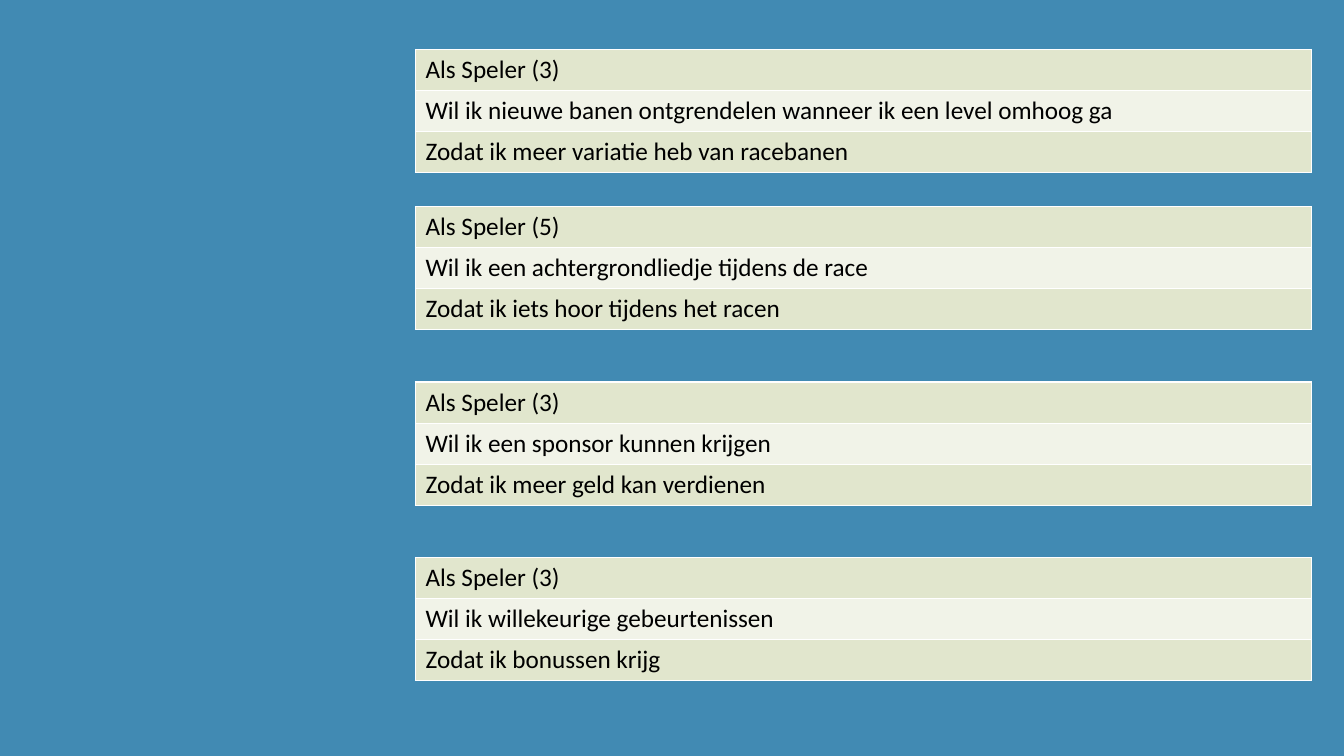
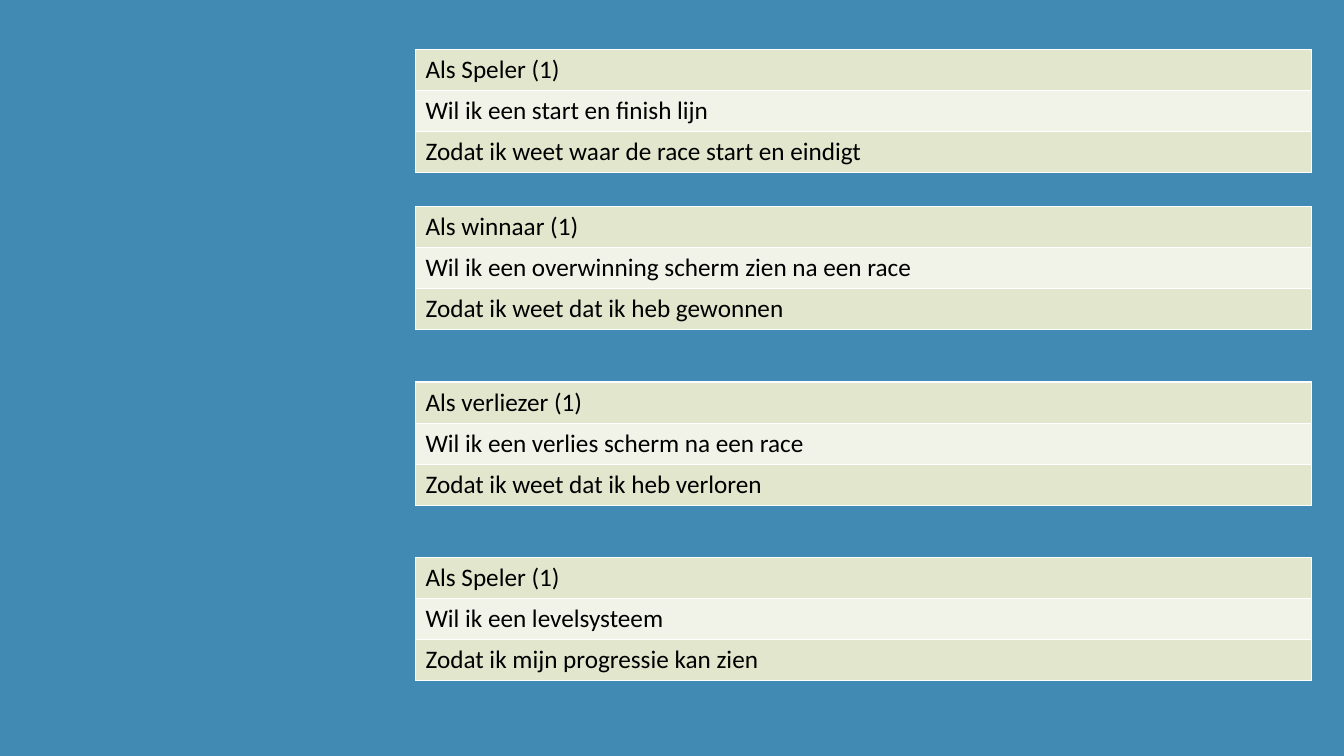
from lxml import etree
from pptx import Presentation
from pptx.dml.color import RGBColor
from pptx.oxml import ns
from pptx.util import Pt

BLUE = RGBColor(0x41, 0x8A, 0xB3)
GREEN = RGBColor(0xE1, 0xE6, 0xCD)
PALE_GREEN = RGBColor(0xF1, 0xF3, 0xE8)
WHITE = RGBColor(0xFF, 0xFF, 0xFF)
BLACK = RGBColor(0x00, 0x00, 0x00)

FONT_NAME = "Calibri"
FONT_SIZE = Pt(18)
BORDER_WIDTH = Pt(1)
TABLE_LEFT = Pt(296.8)
TABLE_WIDTH = Pt(640)
TABLE_TOPS = [Pt(35.3), Pt(147.6), Pt(272.9), Pt(398.2)]
ROW_HEIGHT = Pt(29.35)

STORY_SLIDES = [
    [
        ("Als Speler (3)",
         "Wil ik nieuwe banen ontgrendelen wanneer ik een level omhoog ga",
         "Zodat ik meer variatie heb van racebanen"),
        ("Als Speler (5)",
         "Wil ik een achtergrondliedje tijdens de race",
         "Zodat ik iets hoor tijdens het racen"),
        ("Als Speler (3)",
         "Wil ik een sponsor kunnen krijgen",
         "Zodat ik meer geld kan verdienen"),
        ("Als Speler (3)",
         "Wil ik willekeurige gebeurtenissen",
         "Zodat ik bonussen krijg"),
    ],
    [
        ("Als Speler (1)",
         "Wil ik een start en finish lijn",
         "Zodat ik weet waar de race start en eindigt"),
        ("Als winnaar (1)",
         "Wil ik een overwinning scherm zien na een race",
         "Zodat ik weet dat ik heb gewonnen"),
        ("Als verliezer (1)",
         "Wil ik een verlies scherm na een race",
         "Zodat ik weet dat ik heb verloren"),
        ("Als Speler (1)",
         "Wil ik een levelsysteem",
         "Zodat ik mijn progressie kan zien"),
    ],
]


def set_borders(cell):
    properties = cell._tc.get_or_add_tcPr()
    for side in ("a:lnL", "a:lnR", "a:lnT", "a:lnB"):
        line = etree.SubElement(properties, ns.qn(side), w=str(BORDER_WIDTH))
        fill = etree.SubElement(line, ns.qn("a:solidFill"))
        etree.SubElement(fill, ns.qn("a:srgbClr"), val=str(WHITE))


def fill_cell(cell, text, color):
    set_borders(cell)
    cell.fill.solid()
    cell.fill.fore_color.rgb = color
    cell.text_frame.text = text
    font = cell.text_frame.paragraphs[0].runs[0].font
    font.name = FONT_NAME
    font.size = FONT_SIZE
    font.bold = False
    font.color.rgb = BLACK


def add_story_table(slide, top, story):
    shape = slide.shapes.add_table(
        len(story), 1, TABLE_LEFT, top, TABLE_WIDTH, ROW_HEIGHT * len(story))
    table = shape.table
    table.first_row = False
    for index, text in enumerate(story):
        table.rows[index].height = ROW_HEIGHT
        fill_cell(table.cell(index, 0), text, PALE_GREEN if index % 2 else GREEN)


def main():
    presentation = Presentation()
    presentation.slide_width = Pt(960)
    presentation.slide_height = Pt(540)
    background = presentation.slide_master.background.fill
    background.solid()
    background.fore_color.rgb = BLUE
    blank_layout = presentation.slide_layouts[6]
    for stories in STORY_SLIDES:
        slide = presentation.slides.add_slide(blank_layout)
        for top, story in zip(TABLE_TOPS, stories):
            add_story_table(slide, top, story)
    presentation.save("out.pptx")


if __name__ == "__main__":
    main()
